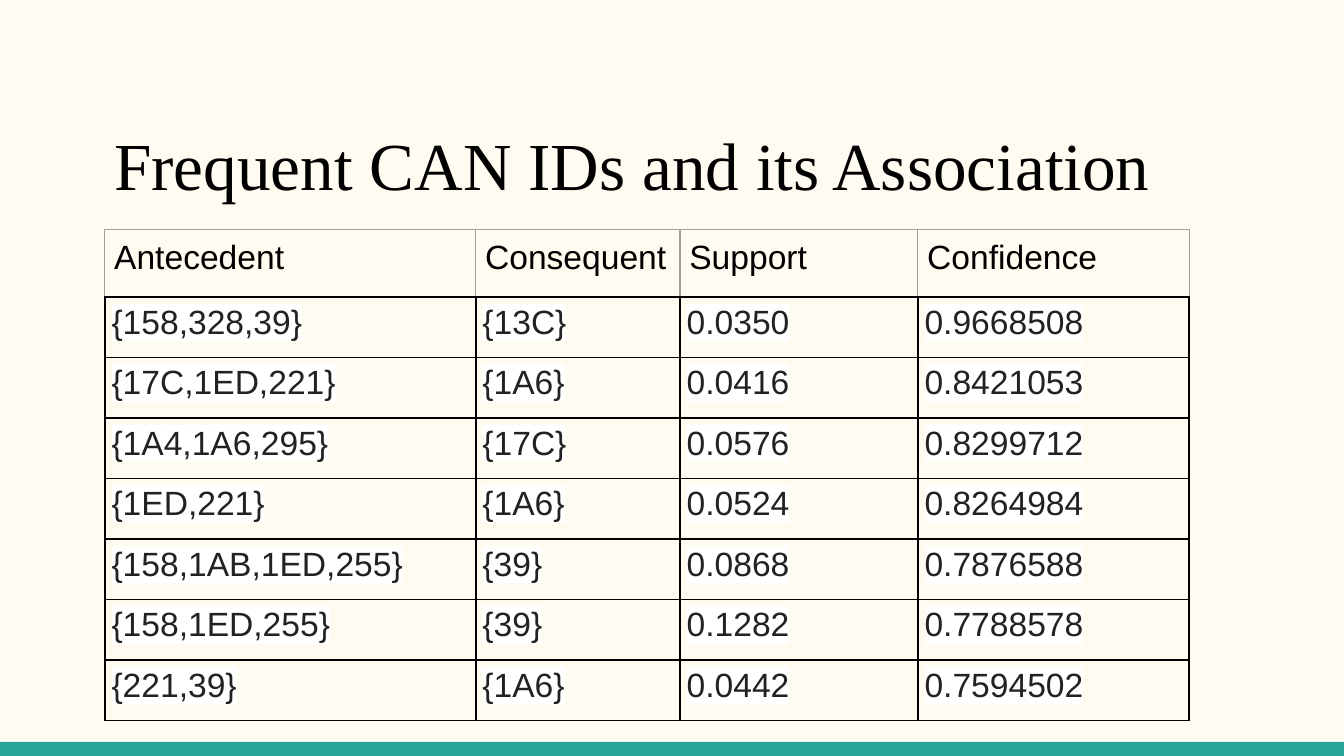
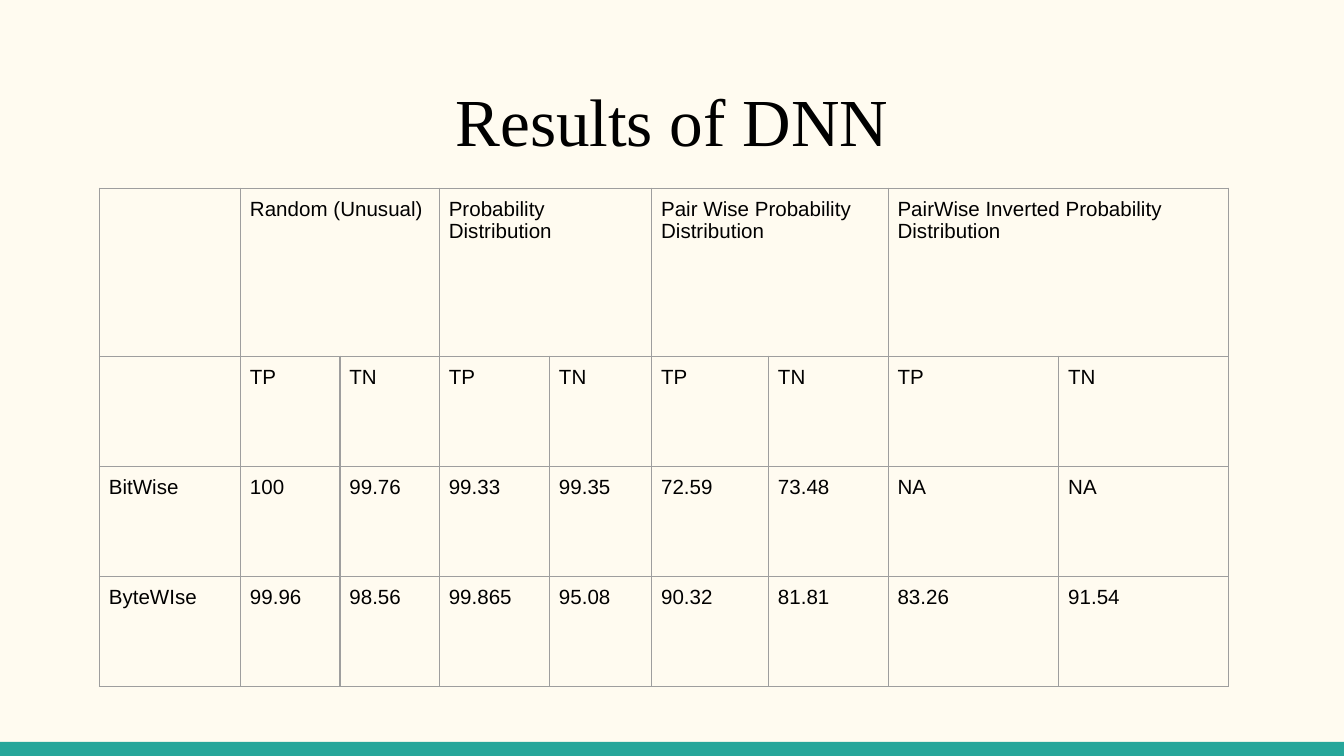
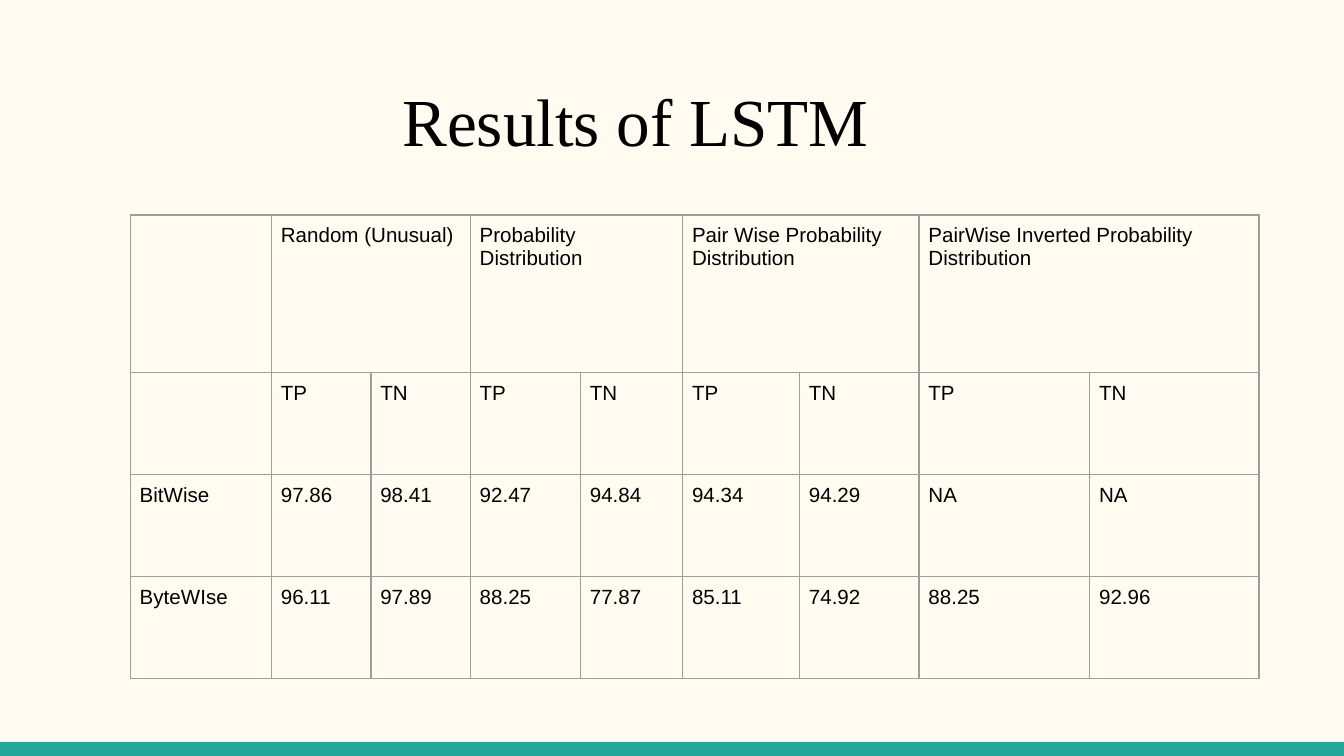
from dataclasses import dataclass

from lxml.etree import SubElement
from pptx import Presentation
from pptx.dml.color import RGBColor
from pptx.enum.shapes import MSO_SHAPE
from pptx.enum.text import MSO_ANCHOR, MSO_AUTO_SIZE, PP_ALIGN
from pptx.oxml.ns import qn
from pptx.util import Inches, Pt

CREAM = RGBColor(0xFF, 0xFB, 0xF0)
TEAL = RGBColor(0x26, 0xA6, 0x9A)
BLACK = RGBColor(0x00, 0x00, 0x00)
CHARCOAL = RGBColor(0x22, 0x22, 0x22)
GRAY = RGBColor(0x9E, 0x9E, 0x9E)
WHITE = RGBColor(0xFF, 0xFF, 0xFF)
TITLE_FONT = "Times New Roman"
TABLE_FONT = "Arial"


@dataclass
class RowStyle:
    size: float
    inset: float = 0.07
    color: RGBColor = BLACK
    highlight: RGBColor = None
    side: tuple = (GRAY, 0.75)
    top: tuple = (GRAY, 0.75)
    bottom: tuple = (GRAY, 0.75)


def add_titled_slide(title, left, top, width, height, inset, align, right_inset=None):
    slide = prs.slides.add_slide(title_only)
    heading = slide.shapes.title
    heading.left, heading.top = Inches(left), Inches(top)
    heading.width, heading.height = Inches(width), Inches(height)
    frame = heading.text_frame
    frame.auto_size = MSO_AUTO_SIZE.NONE
    frame.word_wrap = True
    frame.vertical_anchor = MSO_ANCHOR.TOP
    frame.margin_left = frame.margin_top = frame.margin_bottom = Inches(inset)
    frame.margin_right = Inches(right_inset or inset)
    paragraph = frame.paragraphs[0]
    paragraph.alignment = align
    run = paragraph.add_run()
    run.text = title
    run.font.size = Pt(36)
    run.font.name = TITLE_FONT
    run.font.color.rgb = BLACK
    return slide


def add_grid(slide, left, top, widths, heights, rows, styles):
    """Add a table with one RowStyle per row; None leaves a cell empty."""
    table = slide.shapes.add_table(
        len(rows), len(widths), Inches(left), Inches(top),
        Inches(sum(widths)), Inches(sum(heights))).table
    table.first_row = table.horz_banding = False
    for column, width in zip(table.columns, widths):
        column.width = Inches(width)
    for r, (height, texts, style) in enumerate(zip(heights, rows, styles)):
        table.rows[r].height = Inches(height)
        for c, text in enumerate(texts):
            cell = table.cell(r, c)
            cell.margin_left = cell.margin_right = Inches(style.inset)
            cell.margin_top = cell.margin_bottom = Inches(style.inset)
            properties = cell._tc.get_or_add_tcPr()
            for tag, (color, weight) in (("a:lnL", style.side), ("a:lnR", style.side),
                                         ("a:lnT", style.top), ("a:lnB", style.bottom)):
                border = SubElement(properties, qn(tag), w=str(Pt(weight)))
                fill = SubElement(border, qn("a:solidFill"))
                SubElement(fill, qn("a:srgbClr"), val=str(color))
            cell.fill.background()
            if text is None:
                continue
            run = cell.text_frame.paragraphs[0].add_run()
            run.text = text
            run.font.size = Pt(style.size)
            run.font.color.rgb = style.color
            if style.highlight:
                mark = SubElement(run._r.get_or_add_rPr(), qn("a:highlight"))
                SubElement(mark, qn("a:srgbClr"), val=str(style.highlight))
            run.font.name = TABLE_FONT
    return table


prs = Presentation()
prs.slide_width = Inches(10)
prs.slide_height = prs.slide_width * 9 // 16
title_only = prs.slide_layouts[5]
master = prs.slide_master
master.background.fill.solid()
master.background.fill.fore_color.rgb = CREAM

# Association rules
rules_slide = add_titled_slide("Frequent CAN IDs and its Association",
                               0.78, 0.85, 8.06, 0.76, 0.07, PP_ALIGN.LEFT)

# The footer band moves to the master, so that every slide shows it
band = rules_slide.shapes.add_shape(
    MSO_SHAPE.RECTANGLE, 0, Inches(5.52), prs.slide_width, Inches(0.11))
band.shadow.inherit = False
band.fill.solid()
band.fill.fore_color.rgb = TEAL
band.line.fill.background()
band._element.nvSpPr.cNvPr.set("id", "20")
master.shapes._spTree.insert(2, band._element)

rules = [
    ("Antecedent", "Consequent", "Support", "Confidence"),
    ("{158,328,39}", "{13C}", "0.0350", "0.9668508"),
    ("{17C,1ED,221}", "{1A6}", "0.0416", "0.8421053"),
    ("{1A4,1A6,295}", "{17C}", "0.0576", "0.8299712"),
    ("{1ED,221}", "{1A6}", "0.0524", "0.8264984"),
    ("{158,1AB,1ED,255}", "{39}", "0.0868", "0.7876588"),
    ("{158,1ED,255}", "{39}", "0.1282", "0.7788578"),
    ("{221,39}", "{1A6}", "0.0442", "0.7594502"),
]
rule_count = len(rules) - 1
black_edge = (BLACK, 1)
rules_header = RowStyle(18, bottom=black_edge)
rule_row = RowStyle(18, 0.05, CHARCOAL, WHITE, black_edge, black_edge, black_edge)
add_grid(rules_slide, 0.78, 1.71, [2.76, 1.52, 1.77, 2.02], [0.5] + [0.45] * rule_count,
         rules, [rules_header] + [rule_row] * rule_count)

# Detection results of each network
attacks = ["Random (Unusual)", "Probability Distribution",
           "Pair Wise Probability Distribution",
           "PairWise Inverted Probability Distribution"]
attack_header = [None]
for attack in attacks:
    attack_header += [attack, None]
rate_header = [None] + ["TP", "TN"] * len(attacks)
result_widths = [1.05, 0.74, 0.74, 0.82, 0.76, 0.87, 0.89, 1.27, 1.26]

networks = [
    ("Results of DNN", 0.1, 0.74, 1.4, [1.25] + [0.82] * 3,
     ["BitWise", "100", "99.76", "99.33", "99.35", "72.59", "73.48", "NA", "NA"],
     ["ByteWIse", "99.96", "98.56", "99.865", "95.08", "90.32", "81.81", "83.26", "91.54"]),
    ("Results of LSTM", 0.64, 0.97, 1.6, [1.17] + [0.76] * 3,
     ["BitWise", "97.86", "98.41", "92.47", "94.84", "94.34", "94.29", "NA", "NA"],
     ["ByteWIse", "96.11", "97.89", "88.25", "77.87", "85.11", "74.92", "88.25", "92.96"]),
]
for title, right_inset, left, top, heights, bitwise, bytewise in networks:
    slide = add_titled_slide(title, 0.34, 0.49, 9.32, 0.67, 0.1,
                             PP_ALIGN.CENTER, right_inset)
    results = add_grid(slide, left, top, result_widths, heights,
                       [attack_header, rate_header, bitwise, bytewise], [RowStyle(11)] * 4)
    for c in range(1, len(result_widths), 2):
        results.cell(0, c).merge(results.cell(0, c + 1))

prs.save("out.pptx")
